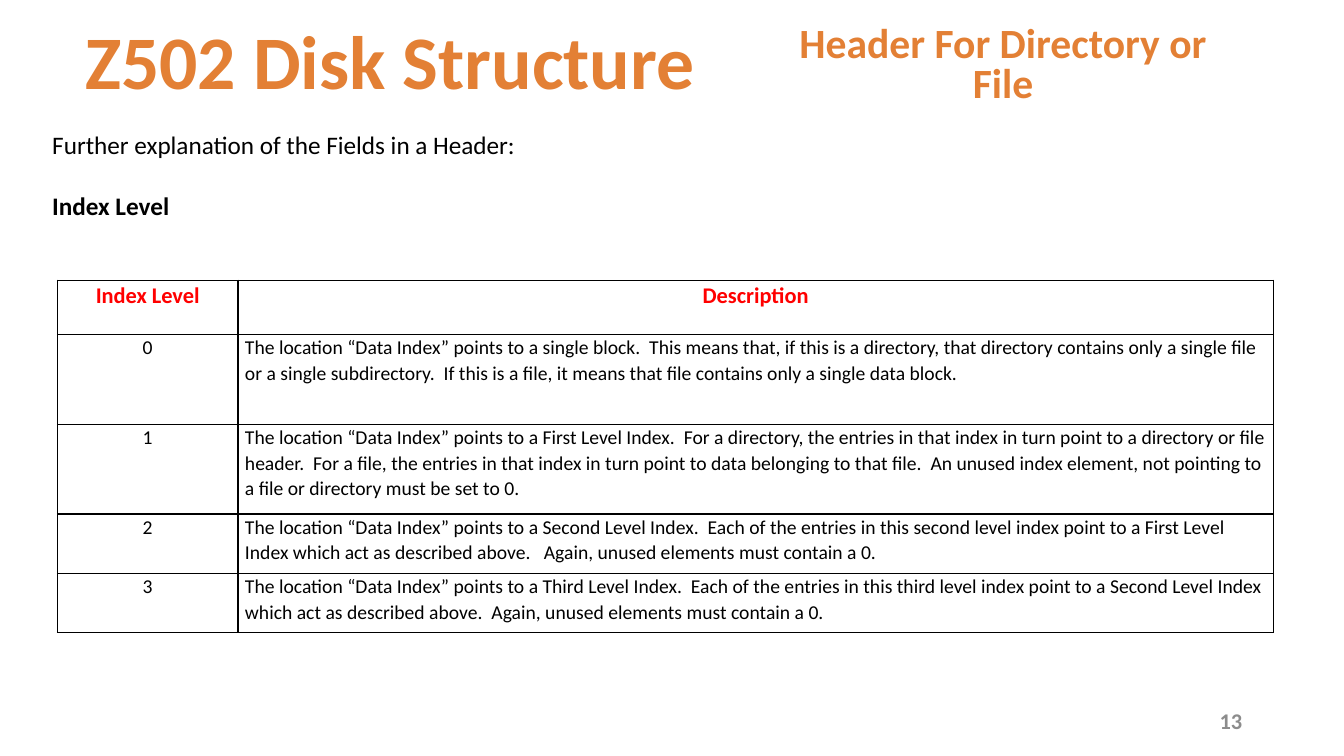
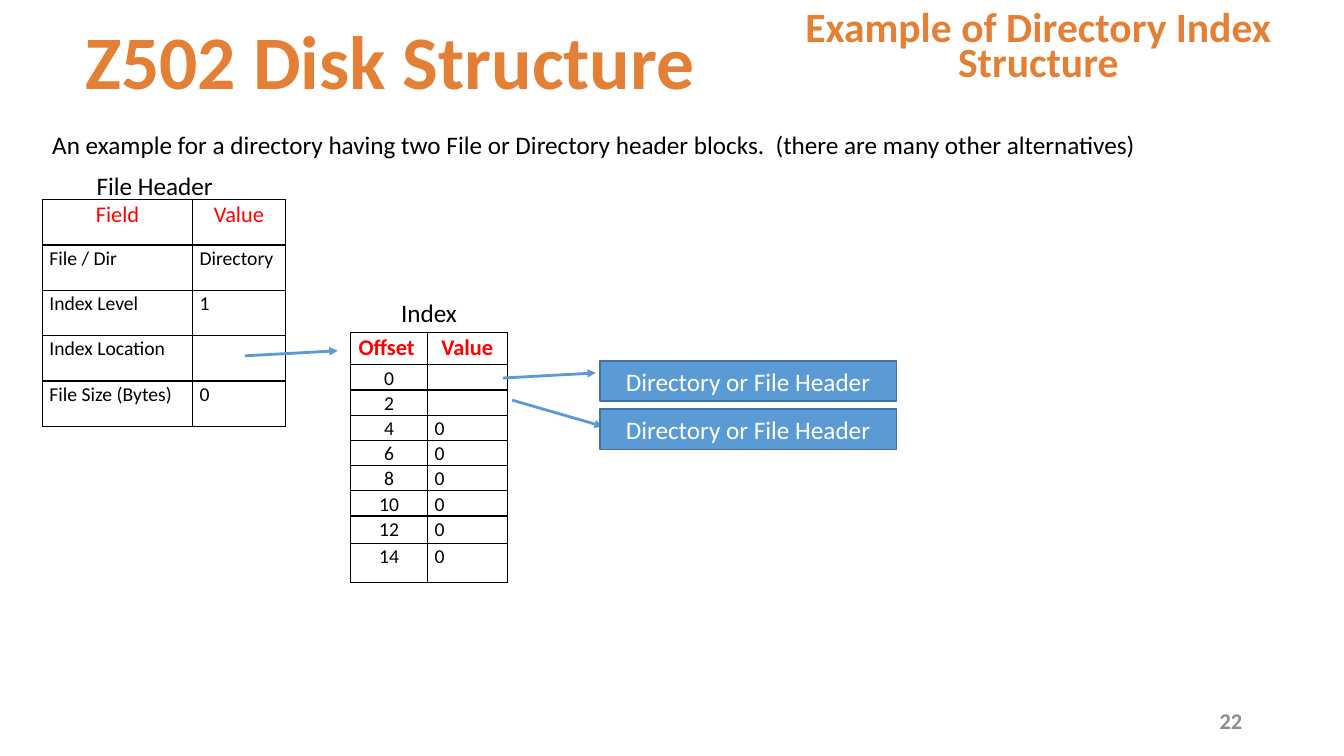
from dataclasses import dataclass
from typing import NamedTuple

from lxml.etree import SubElement
from pptx import Presentation
from pptx.dml.color import RGBColor
from pptx.enum.shapes import MSO_CONNECTOR, MSO_SHAPE
from pptx.enum.text import MSO_ANCHOR as Anchor, MSO_AUTO_SIZE as AutoSize, PP_ALIGN as Align
from pptx.oxml.ns import qn
from pptx.presentation import Presentation as Deck
from pptx.slide import Slide
from pptx.table import _Cell as Cell
from pptx.text.text import TextFrame, _Paragraph as Paragraph
from pptx.util import Emu, Pt

PX_PER_INCH = 100
EMU_PER_PX = 914400 // PX_PER_INCH
FONT = "Calibri"
ORANGE, RED, BLACK, WHITE = "E38035", "FF0000", "000000", "FFFFFF"
GREY, BLUE, DARK_BLUE = "8C8C8C", "5B9BD5", "43739E"
CELL_SPACING = 1.07


class Box(NamedTuple):
    left: int
    top: int
    width: int
    height: int


class Arrow(NamedTuple):
    x1: int
    y1: int
    x2: int
    y2: int


@dataclass(frozen=True)
class Style:
    size: float = 18
    color: str = BLACK
    bold: bool = False
    align: Align = Align.LEFT
    spacing: float = 1.0
    before: float = 0


@dataclass(frozen=True)
class Heading:
    text: str
    box: Box
    spacing: float
    number: str


@dataclass(frozen=True)
class Grid:
    left: int
    top: int
    columns: list[int]
    heights: list[int]
    rows: list[tuple[str, str]]
    bold_head: bool = True
    center_keys: bool = True


TITLE = Style(54, ORANGE, True, Align.CENTER, 0.9)
NUMBER = Style(16, GREY, True, Align.RIGHT)
BODY = Style()
TITLE_BOX = Box(57, 18, 660, 92)
NUMBER_BOX = Box(942, 695, 300, 40)

LEVELS = Grid(57, 278, [179, 1027], [54, 89, 89, 59, 59], [
    ("Index Level", "Description"),
    ("0", "The location “Data Index” points to a single block.  This means that, if this is a directory, "
          "that directory contains only a single file or a single subdirectory.  If this is a file, "
          "it means that file contains only a single data block."),
    ("1", "The location “Data Index” points to a First Level Index.  For a directory, the entries in that "
          "index in turn point to a directory or file header.  For a file, the entries in that index in turn "
          "point to data belonging to that file.  An unused index element, not pointing to a file or "
          "directory must be set to 0."),
    ("2", "The location “Data Index” points to a Second Level Index.  Each of the entries in this second "
          "level index point to a First Level Index which act as described above.   Again, unused elements "
          "must contain a 0."),
    ("3", "The location “Data Index” points to a Third Level Index.  Each of the entries in this third "
          "level index point to a Second Level Index which act as described above.  Again, unused elements "
          "must contain a 0."),
])
OFFSETS = Grid(
    348, 330, [76, 79], [32] + [25] * 6 + [27, 39],
    [("Offset ", "Value")] + [(str(offset), "" if offset < 4 else "0") for offset in range(0, 16, 2)])
FILE_HEADER = Grid(42, 198, [149, 92], [45] * 5, [
    ("Field", "Value"),
    ("File / Dir", "Directory"),
    ("Index Level", "1"),
    ("Index Location", ""),
    ("File Size (Bytes)", "0"),
], bold_head=False, center_keys=False)


def px(length: int) -> Emu:
    """Turn whole pixels into EMU."""
    return Emu(length * EMU_PER_PX)


def scaled(lengths: tuple[int, ...]) -> list[Emu]:
    """Turn several pixel lengths into EMU."""
    return [px(length) for length in lengths]


def rgb(code: str) -> RGBColor:
    """Turn a hex string into a colour."""
    return RGBColor.from_string(code)


def write(paragraph: Paragraph, text: str, style: Style) -> None:
    """Add one styled run to a paragraph."""
    paragraph.alignment = style.align
    paragraph.line_spacing = style.spacing
    paragraph.space_before = Pt(style.before)
    if not text:
        SubElement(paragraph._p, qn("a:endParaRPr"), sz=str(round(style.size * 100)))
        return
    run = paragraph.add_run()
    run.text = text
    run.font.name = FONT
    run.font.size = Pt(style.size)
    run.font.bold = style.bold
    run.font.color.rgb = rgb(style.color)


def fill_placeholder(slide: Slide, index: int, box: Box, text: str, style: Style) -> None:
    """Move a template placeholder and write its text."""
    holder = slide.placeholders[index]
    holder.left, holder.top, holder.width, holder.height = scaled(box)
    frame = holder.text_frame
    frame.word_wrap = True
    frame.auto_size = AutoSize.NONE
    frame.vertical_anchor = Anchor.BOTTOM
    write(frame.paragraphs[0], text, style)


def add_text(slide: Slide, box: Box, lines: list[tuple[str, Style]], wrap: bool = True) -> TextFrame:
    """Add a text box with one paragraph for each line."""
    frame = slide.shapes.add_textbox(*scaled(box)).text_frame
    frame.word_wrap = wrap
    for position, (text, style) in enumerate(lines):
        write(frame.add_paragraph() if position else frame.paragraphs[0], text, style)
    return frame


def format_cell(cell: Cell, text: str, style: Style) -> None:
    """Give a cell its text, thin black borders and white fill."""
    cell.margin_left = cell.margin_right = px(7)
    cell.margin_top = cell.margin_bottom = 0
    write(cell.text_frame.paragraphs[0], text, style)
    properties = cell._tc.get_or_add_tcPr()
    for side in ("lnL", "lnR", "lnT", "lnB"):
        border = SubElement(properties, qn(f"a:{side}"), w=str(Pt(1)))
        SubElement(SubElement(border, qn("a:solidFill")), qn("a:srgbClr"), val=BLACK)
    cell.fill.solid()
    cell.fill.fore_color.rgb = rgb(WHITE)


def add_grid(slide: Slide, grid: Grid) -> None:
    """Add a bordered two-column table with a red heading row."""
    box = Box(grid.left, grid.top, sum(grid.columns), sum(grid.heights))
    table = slide.shapes.add_table(len(grid.rows), len(grid.columns), *scaled(box)).table
    table.first_row = table.horz_banding = False
    for column, width in zip(table.columns, grid.columns):
        column.width = px(width)
    for row, height in zip(table.rows, grid.heights):
        row.height = px(height)
    head = Style(16, RED, grid.bold_head, Align.CENTER, CELL_SPACING)
    value = Style(14, spacing=CELL_SPACING)
    key = Style(14, align=Align.CENTER, spacing=CELL_SPACING) if grid.center_keys else value
    for r, texts in enumerate(grid.rows):
        for c, text in enumerate(texts):
            format_cell(table.cell(r, c), text, head if r == 0 else (key, value)[c])


def add_arrow(slide: Slide, arrow: Arrow) -> None:
    """Add a blue line with an arrowhead at its end."""
    connector = slide.shapes.add_connector(MSO_CONNECTOR.STRAIGHT, *scaled(arrow))
    connector.line.color.rgb = rgb(BLUE)
    connector.line.width = Pt(2)
    properties = connector.element.spPr
    SubElement(properties.find(qn("a:ln")), qn("a:tailEnd"), type="triangle")
    SubElement(properties, qn("a:effectLst"))


def add_target(slide: Slide, top: int) -> None:
    """Add a blue block for a directory or file header."""
    block = slide.shapes.add_shape(MSO_SHAPE.RECTANGLE, *scaled(Box(595, top, 294, 40)))
    block.shadow.inherit = False
    block.fill.solid()
    block.fill.fore_color.rgb = rgb(BLUE)
    block.line.color.rgb = rgb(DARK_BLUE)
    block.line.width = Pt(1)
    block.text_frame.vertical_anchor = Anchor.MIDDLE
    write(block.text_frame.paragraphs[0], "Directory or File Header",
          Style(color=WHITE, align=Align.CENTER))


def add_slide(deck: Deck, heading: Heading) -> Slide:
    """Add a slide with the shared title, its heading and its number."""
    slide = deck.slides.add_slide(deck.slide_layouts[0])
    fill_placeholder(slide, 0, TITLE_BOX, "Z502 Disk Structure", TITLE)
    fill_placeholder(slide, 1, heading.box, heading.text,
                     Style(29.7, ORANGE, True, Align.CENTER, heading.spacing))
    add_text(slide, NUMBER_BOX, [(heading.number, NUMBER)]).vertical_anchor = Anchor.MIDDLE
    return slide


def add_levels_slide(deck: Deck) -> None:
    """Explain the index levels of a header."""
    slide = add_slide(deck, Heading("Header For Directory or File", Box(753, 29, 484, 82), 0.8, "13"))
    add_text(slide, Box(42, 123, 1266, 131), [
        ("Further explanation of the Fields in a Header:", BODY),
        ("Index Level", Style(bold=True, before=22)),
    ])
    add_grid(slide, LEVELS)


def add_example_slide(deck: Deck) -> None:
    """Show a directory whose index points to two headers."""
    slide = add_slide(deck, Heading("Example of Directory Index Structure", Box(753, 7, 554, 82), 0.7, "22"))
    add_text(slide, Box(42, 123, 1266, 40), [
        ("An example for a directory having two File or Directory header blocks.  "
         "(there are many other alternatives)", BODY),
    ])
    add_grid(slide, OFFSETS)
    add_grid(slide, FILE_HEADER)
    add_text(slide, Box(86, 164, 137, 40), [("File Header", BODY)], wrap=False)
    add_text(slide, Box(388, 290, 76, 40), [("Index", BODY)], wrap=False)
    for arrow in (Arrow(243, 353, 335, 348), Arrow(499, 375, 591, 370), Arrow(508, 397, 598, 423)):
        add_arrow(slide, arrow)
    for top in (358, 406):
        add_target(slide, top)


def main() -> None:
    """Build and save the slides."""
    deck = Presentation()
    deck.slide_width, deck.slide_height = px(1333), px(750)
    add_levels_slide(deck)
    add_example_slide(deck)
    deck.save("out.pptx")


if __name__ == "__main__":
    main()
